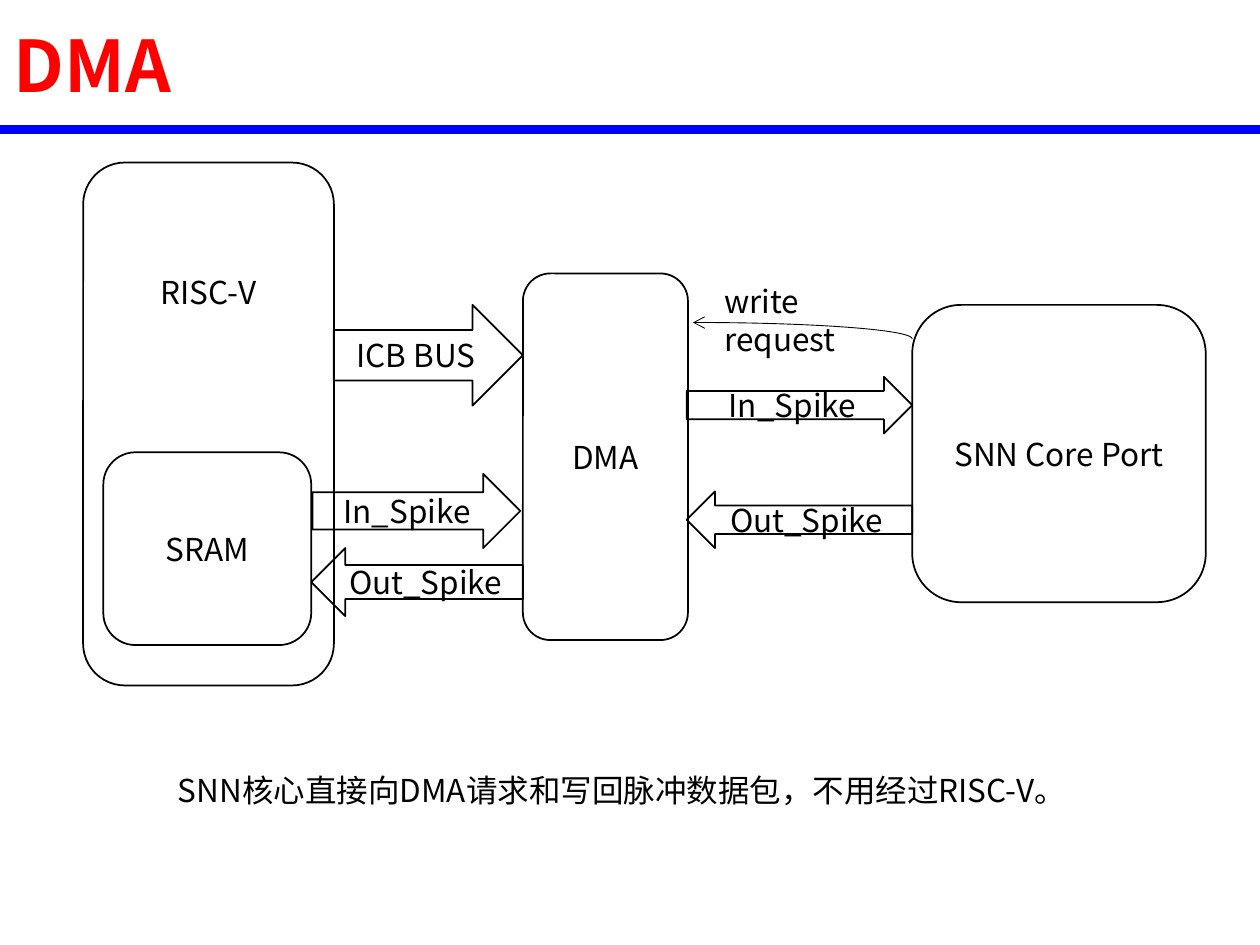
"""Build the DMA data-flow slide."""
from typing import NamedTuple

import pptx
import pptx.dml.color
import pptx.enum.shapes
import pptx.enum.text
import pptx.oxml.ns
import pptx.util
from lxml import etree

Inches = pptx.util.Inches
Pt = pptx.util.Pt
Shape = pptx.enum.shapes.MSO_SHAPE
Align = pptx.enum.text.PP_ALIGN
Anchor = pptx.enum.text.MSO_ANCHOR
qn = pptx.oxml.ns.qn
FONT = "Noto Sans CJK SC"
BLACK, RED, BLUE = "000000", "FF0000", "0000FF"


class Node(NamedTuple):
    kind: Shape
    text: str
    left: float
    top: float
    width: float
    height: float
    bottom_inset: float = 0.05


class Label(NamedTuple):
    text: str
    left: float
    top: float
    width: float
    height: float
    align: Align = Align.LEFT
    anchor: Anchor = Anchor.TOP
    size: float = 18
    color: str = BLACK
    bold: bool = False
    line_height: float | None = 21.6


NODES = [
    Node(Shape.ROUNDED_RECTANGLE, "RISC-V", 0.66, 1.29, 1.99, 4.15, 2.15),
    Node(Shape.ROUNDED_RECTANGLE, "DMA", 4.15, 2.17, 1.31, 2.91),
    Node(Shape.RIGHT_ARROW, "ICB BUS", 2.65, 2.42, 1.5, 0.8),
    Node(Shape.ROUNDED_RECTANGLE, "SNN Core Port", 7.24, 2.42, 2.33, 2.36),
    Node(Shape.ROUNDED_RECTANGLE, "SRAM", 0.82, 3.59, 1.65, 1.53),
    Node(Shape.RIGHT_ARROW, "In_Spike", 2.48, 3.76, 1.65, 0.59),
    Node(Shape.RIGHT_ARROW, "In_Spike", 5.45, 2.99, 1.79, 0.45),
    Node(Shape.LEFT_ARROW, "Out_Spike", 5.45, 3.9, 1.79, 0.45),
    Node(Shape.LEFT_ARROW, "Out_Spike", 2.47, 4.35, 1.68, 0.54),
]
TITLE = Label("DMA", 0.01, 0.15, 9.3, 0.71, anchor=Anchor.MIDDLE, size=40.7,
              color=RED, bold=True, line_height=None)
LABELS = [
    Label("write request", 5.65, 2.19, 1.58, 0.4),
    Label("SNN核心直接向DMA请求和写回脉冲数据包，不用经过RISC-V。",
          1.26, 6.07, 7.35, 0.4, Align.CENTER),
]


def rgb(color: str) -> pptx.dml.color.RGBColor:
    """Turn a hex string into a colour."""
    return pptx.dml.color.RGBColor.from_string(color)


def write(tf, text: str, align: Align, anchor: Anchor, size: float = 18,
          color: str = BLACK, bold: bool = False):
    """Fill a text frame with one styled paragraph and return it."""
    tf.word_wrap = True
    tf.vertical_anchor = anchor
    p = tf.paragraphs[0]
    p.text = text
    p.alignment = align
    p.font.name, p.font.size, p.font.bold = FONT, Pt(size), bold
    p.font.color.rgb = rgb(color)
    etree.SubElement(p._p.pPr.find(qn("a:defRPr")), qn("a:ea"), typeface=FONT)
    return p


def add_outline(s, kind: Shape, box: tuple, width: float = 1):
    """Add an unfilled preset shape with a black outline."""
    sp = s.shapes.add_shape(kind, *map(Inches, box))
    sp.shadow.inherit = False
    sp.fill.background()
    sp.line.color.rgb = rgb(BLACK)
    sp.line.width = Pt(width)
    return sp


def add_node(s, node: Node) -> None:
    """Add a block or a block arrow with its caption."""
    box = (node.left, node.top, node.width, node.height)
    tf = add_outline(s, node.kind, box).text_frame
    tf.margin_bottom = Inches(node.bottom_inset)
    write(tf, node.text, Align.CENTER, Anchor.MIDDLE)


def add_label(s, label: Label) -> None:
    """Add a free-standing text box."""
    box = (label.left, label.top, label.width, label.height)
    tf = s.shapes.add_textbox(*map(Inches, box)).text_frame
    p = write(tf, label.text, label.align, label.anchor, label.size,
              label.color, label.bold)
    if label.line_height:
        p.line_spacing = Pt(label.line_height)


def add_rule(s, y: float) -> None:
    """Add the blue rule across the slide."""
    line = s.shapes.add_connector(pptx.enum.shapes.MSO_CONNECTOR.STRAIGHT,
                                  Inches(0), Inches(y), Inches(10), Inches(y))
    line.line.color.rgb = rgb(BLUE)
    line.line.width = Pt(5)
    etree.SubElement(line._element.spPr, qn("a:effectLst"))


def add_request_arc(s) -> None:
    """Add the curved arrow from the SNN core to the DMA."""
    sp = add_outline(s, Shape.ARC, (3.76, 2.56, 3.48, 0.26), 0.5)
    etree.SubElement(sp.line._get_or_add_ln(), qn("a:headEnd"), type="arrow")


def main() -> None:
    """Build and save the slide."""
    prs = pptx.Presentation()
    prs.slide_width, prs.slide_height = Inches(10), Inches(7.5)
    s = prs.slides.add_slide(prs.slide_layouts[6])
    add_label(s, TITLE)
    add_rule(s, 1.03)
    for node in NODES:
        add_node(s, node)
    add_request_arc(s)
    for label in LABELS:
        add_label(s, label)
    prs.save("out.pptx")


if __name__ == "__main__":
    main()
